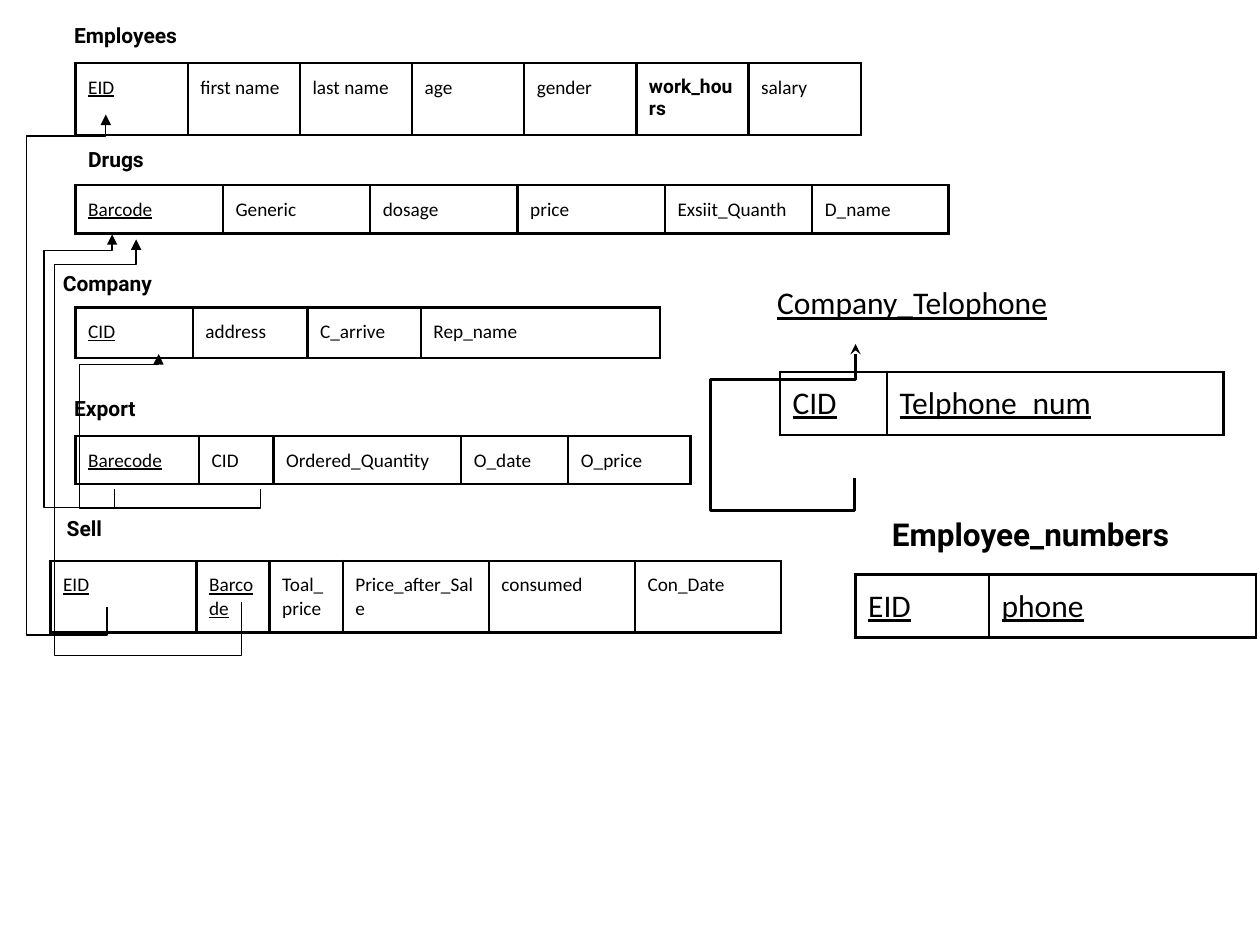
"""Build a relational schema slide with tables, titles and foreign-key arrows."""
from dataclasses import dataclass

from lxml.etree import SubElement
from pptx import Presentation
from pptx.dml.color import RGBColor
from pptx.oxml.ns import qn
from pptx.util import Pt


@dataclass(frozen=True)
class Theme:
    ink: RGBColor = RGBColor(0, 0, 0)
    body_font: str = "Calibri"
    title_font: str = "Roboto"
    cell_size: float = 11
    title_size: float = 12
    large_size: float = 18
    inset: float = 7.2
    border: float = 1.5
    thin_line: float = 0.75


@dataclass(frozen=True)
class Relation:
    title: str
    title_box: tuple
    origin: tuple
    height: float
    columns: tuple
    keys: int = 1
    large: bool = False
    plain_title: bool = False


THEME = Theme()

RELATIONS = (
    Relation("Employees", (35.3, 5.8, 85, 28.8), (43.2, 36), 41,
             (("EID", 64.1), ("first name", 64.1), ("last name", 64.1), ("age", 64.1),
              ("gender", 64.1), ("work_hours", 64.1), ("salary", 64.1))),
    Relation("Drugs", (43.2, 76.3, 85, 28.8), (43.2, 105.8), 27.4,
             (("Barcode", 84.2), ("Generic", 84.2), ("dosage", 84.2), ("price", 84.2),
              ("Exsiit_Quanth", 84.2), ("D_name", 77.8))),
    Relation("Company", (28.8, 147.6, 85, 28.8), (43.2, 175.7), 28.8,
             (("CID", 67), ("address", 65.5), ("C_arrive", 64.8), ("Rep_name", 136.8))),
    Relation("Export", (35.3, 218.9, 103, 28.8), (43.2, 249.1), 27.4,
             (("Barecode", 70.6), ("CID", 42.5), ("Ordered_Quantity", 107.3),
              ("O_date", 61.2), ("O_price", 69.8))),
    Relation("Sell", (31, 287.3, 103, 28.8), (28.8, 320.4), 41,
             (("EID", 83.5), ("Barcode", 41.8), ("Toal_price", 41.8),
              ("Price_after_Sale", 83.5), ("consumed", 83.5), ("Con_Date", 83.5)), keys=2),
    Relation("Company_Telophone", (437, 154.8, 230.4, 36), (445.7, 212.4), 36,
             (("CID", 61.2), ("Telphone_num", 192.2)), keys=2, large=True, plain_title=True),
    Relation("Employee_numbers", (502.6, 287.3, 187.2, 36), (488.9, 328.3), 36,
             (("EID", 76.3), ("phone", 152.6)), keys=2, large=True),
)

REFERENCES = (
    ((65.5, 279.4), 290.2, 25.2, 143.3, (64.1, 133.9), "triangle", THEME.thin_line),
    ((61.2, 347), 362.9, 15.1, 77.8, (60.5, 65.5), "triangle", THEME.thin_line),
    ((138.2, 344.2), 374.4, 31, 151.2, (77.8, 136.8), "triangle", THEME.thin_line),
    ((488.2, 272.9), 291.6, 406.1, 216.7, (488.9, 196.6), "stealth", THEME.border),
    ((149, 279.4), 290.2, 45.4, 208.1, (90.7, 202.3), "triangle", THEME.thin_line),
)


def format_text(text_frame, size, bold=False, underline=False):
    """Style every run; bold text takes the title font."""
    for paragraph in text_frame.paragraphs:
        for run in paragraph.runs:
            run.font.name = THEME.title_font if bold else THEME.body_font
            run.font.size = Pt(size)
            run.font.bold = bold
            run.font.underline = underline
            run.font.color.rgb = THEME.ink


def set_margins(target):
    """Give a cell or text frame equal insets on all sides."""
    for side in ("left", "right", "top", "bottom"):
        setattr(target, f"margin_{side}", Pt(THEME.inset))


def set_borders(cell):
    """Draw a solid border on all four sides of a cell."""
    properties = cell._tc.get_or_add_tcPr()
    for index, side in enumerate(("lnL", "lnR", "lnT", "lnB")):
        line = SubElement(properties, qn(f"a:{side}"), w=str(Pt(THEME.border)))
        fill = SubElement(line, qn("a:solidFill"))
        SubElement(fill, qn("a:srgbClr"), val=str(THEME.ink))
        properties.insert(index, line)


def add_title(slide, relation):
    """Write the name of a relation above its table."""
    text_frame = slide.shapes.add_textbox(*map(Pt, relation.title_box)).text_frame
    text_frame.word_wrap = True
    set_margins(text_frame)
    text_frame.text = relation.title
    size = THEME.large_size if relation.large else THEME.title_size
    format_text(text_frame, size, not relation.plain_title, relation.plain_title)


def add_relation_table(slide, relation):
    """Add the one-row table of attributes with its keys underlined."""
    width = sum(column_width for _, column_width in relation.columns)
    table = slide.shapes.add_table(1, len(relation.columns), *map(Pt, relation.origin),
                                   Pt(width), Pt(relation.height)).table
    table.first_row = table.horz_banding = False
    size = THEME.large_size if relation.large else THEME.cell_size
    for index, (name, column_width) in enumerate(relation.columns):
        table.columns[index].width = Pt(column_width)
        cell = table.cell(0, index)
        set_margins(cell)
        cell.fill.background()
        set_borders(cell)
        cell.text_frame.text = name
        format_text(cell.text_frame, size, name == "work_hours", index < relation.keys)


def add_reference(slide, start, floor, side, ceiling, tip, arrowhead, width):
    """Draw a bent arrow from a foreign key around the side to its target."""
    points = [(start[0], floor), (side, floor), (side, ceiling), (tip[0], ceiling), tip]
    builder = slide.shapes.build_freeform(*map(Pt, start))
    builder.add_line_segments([(Pt(x), Pt(y)) for x, y in points], close=False)
    shape = builder.convert_to_shape()
    shape.shadow.inherit = False
    shape.fill.background()
    shape.line.color.rgb = THEME.ink
    shape.line.width = Pt(width)
    SubElement(shape.line._get_or_add_ln(), qn("a:tailEnd"), type=arrowhead)


def main():
    """Create the slide and save it."""
    presentation = Presentation()
    presentation.slide_width, presentation.slide_height = Pt(720), Pt(540)
    slide = presentation.slides.add_slide(presentation.slide_layouts[6])
    for relation in RELATIONS:
        add_relation_table(slide, relation)
        add_title(slide, relation)
    for reference in REFERENCES:
        add_reference(slide, *reference)
    presentation.save("out.pptx")


if __name__ == "__main__":
    main()
